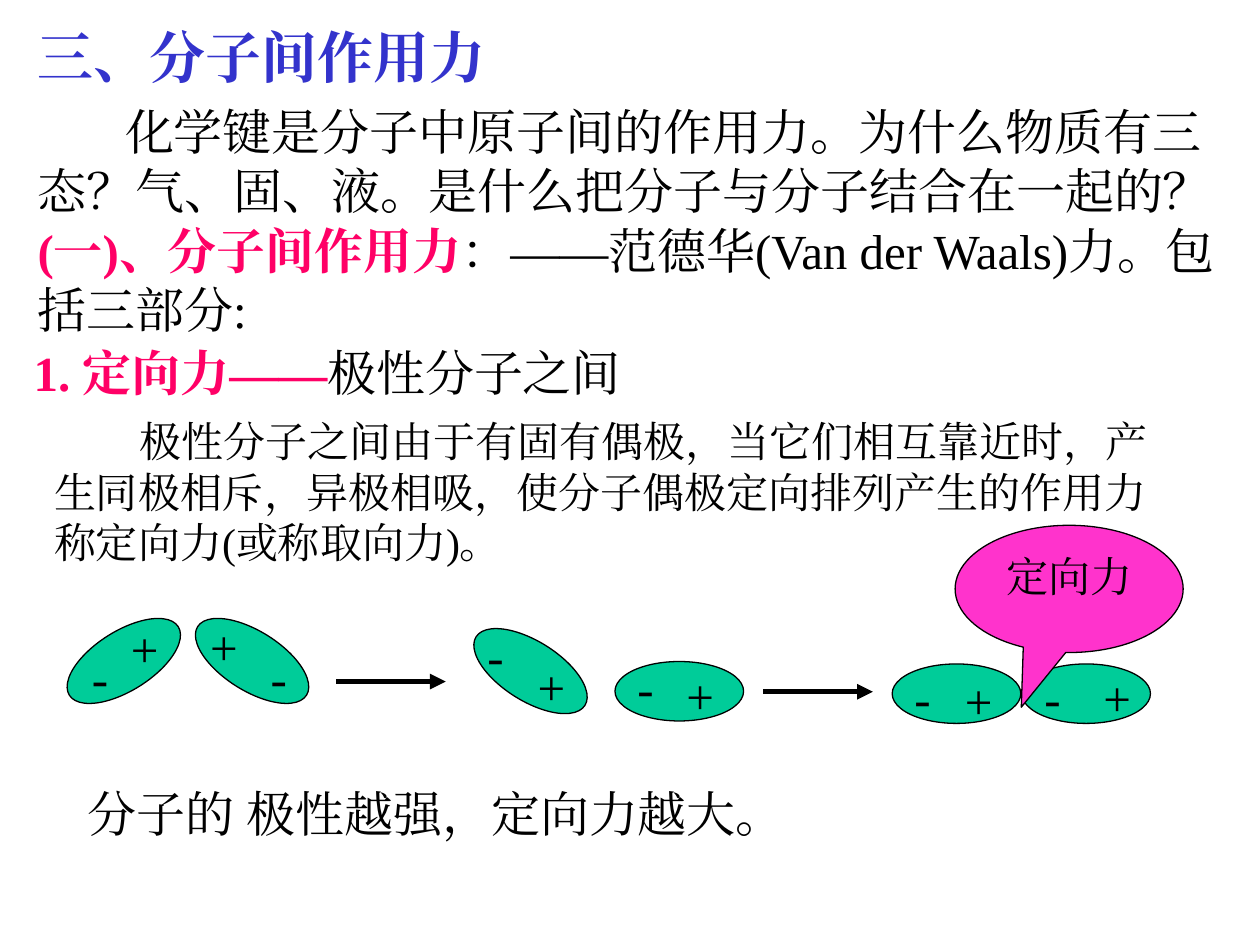
from dataclasses import dataclass

from pptx import Presentation
from pptx.dml.color import RGBColor
from pptx.enum.shapes import MSO_CONNECTOR as Connector, MSO_SHAPE as Shape
from pptx.enum.text import MSO_ANCHOR as Anchor, MSO_AUTO_SIZE as AutoSize, PP_ALIGN as Align
from pptx.oxml.ns import qn
from pptx.util import Pt

FONT = "Times New Roman"
COLORS = {
    "title": "3333CC",
    "heading": "FF0066",
    "ink": "000000",
    "molecule": "00CC99",
    "callout": "FF33CC",
}
MOLECULE_SIZE = (73.5, 34)
CHARGE_SIZE = (28, 41)


@dataclass(frozen=True)
class Span:
    text: str
    color: str = "ink"
    bold: bool = False


@dataclass(frozen=True)
class TextBlock:
    left: float
    top: float
    width: float
    height: float
    spans: tuple[Span, ...]
    size: float = 28
    indent: float = 0


@dataclass(frozen=True)
class Molecule:
    """An ellipse with the top-left corners of its two charge labels."""
    left: float
    top: float
    angle: float
    plus: tuple[float, float]
    minus: tuple[float, float]


@dataclass(frozen=True)
class Arrow:
    left: float
    y: float
    length: float = 62.5


TITLE = TextBlock(14.4, 9.4, 424, 45, (Span("三、分子间作用力", "title", True),), 32)
TEXT_BLOCKS = (
    TextBlock(14.4, 122.4, 692, 74, (
        Span("(一)、分子间作用力", "heading", True),
        Span("：——范德华(Van der Waals)力。包括三部分:"),
    )),
    TextBlock(14.4, 54.7, 692, 74, (
        Span("化学键是分子中原子间的作用力。为什么物质有三态？气、固、液。"
             "是什么把分子与分子结合在一起的？"),
    ), indent=50),
    TextBlock(43, 444.2, 551, 41, (Span("分子的 极性越强，定向力越大。"),)),
    TextBlock(23.8, 234, 654, 94, (
        Span("极性分子之间由于有固有偶极，当它们相互靠近时，产生同极相斥，"
             "异极相吸，使分子偶极定向排列产生的作用力称定向力(或称取向力)。"),
    ), 24, 49),
    TextBlock(12.2, 192.2, 388, 41, (
        Span("1. 定向力——", "heading", True),
        Span("极性分子之间"),
    )),
)
MOLECULES = (
    Molecule(34, 360.7, -32.2, (67.7, 350), (45.4, 366.5)),
    Molecule(107.3, 360.7, 32.2, (113, 348.5), (147.6, 366.5)),
    Molecule(266.4, 366.5, 32.2, (300.2, 371.5), (271.4, 354.2)),
    Molecule(351.4, 378, 0, (385.2, 376.6), (357.1, 372.2)),
    Molecule(509.8, 379.4, 0, (544.3, 379.4), (515.5, 378)),
    Molecule(583.9, 379.4, 0, (623.5, 378), (589.7, 378)),
)
ARROWS = (Arrow(192.2, 389.5), Arrow(436.3, 395.3))


def rgb(name: str) -> RGBColor:
    return RGBColor.from_string(COLORS[name])


def apply(target, **values) -> None:
    for name, value in values.items():
        setattr(target, name, value)


def write(box, block: TextBlock, align=Align.LEFT) -> None:
    """Fill the box's only paragraph with the block's spans."""
    apply(box.text_frame, word_wrap=True, auto_size=AutoSize.NONE,
          vertical_anchor=Anchor.TOP)
    para = box.text_frame.paragraphs[0]
    apply(para, alignment=align, space_before=Pt(0))
    if block.indent:
        para._p.get_or_add_pPr().set("indent", str(Pt(block.indent)))
    for part in block.spans:
        span = para.add_run()
        span.text = part.text
        apply(span.font, name=FONT, size=Pt(block.size), bold=part.bold)
        span.font.color.rgb = rgb(part.color)
        properties = span._r.get_or_add_rPr()
        properties.set("lang", "zh-CN")
        east_asian = properties.makeelement(qn("a:ea"), {"typeface": FONT})
        properties.find(qn("a:latin")).addnext(east_asian)


def add_text(page, block: TextBlock) -> None:
    box = page.shapes.add_textbox(
        Pt(block.left), Pt(block.top), Pt(block.width), Pt(block.height))
    write(box, block)


def add_outlined(page, kind, left: float, top: float, width: float,
                 height: float, color: str):
    shape = page.shapes.add_shape(kind, Pt(left), Pt(top), Pt(width), Pt(height))
    shape.shadow.inherit = False
    shape.fill.solid()
    shape.fill.fore_color.rgb = rgb(color)
    shape.line.color.rgb = rgb("ink")
    shape.line.width = Pt(0.75)
    return shape


def add_molecule(page, molecule: Molecule) -> None:
    ellipse = add_outlined(page, Shape.OVAL, molecule.left, molecule.top,
                           *MOLECULE_SIZE, "molecule")
    ellipse.rotation = molecule.angle


def add_charges(page, molecule: Molecule) -> None:
    for sign, place in (("+", molecule.plus), ("-", molecule.minus)):
        add_text(page, TextBlock(*place, *CHARGE_SIZE, (Span(sign),)))


def add_arrow(page, arrow: Arrow) -> None:
    line = page.shapes.add_connector(
        Connector.STRAIGHT, Pt(arrow.left), Pt(arrow.y),
        Pt(arrow.left + arrow.length), Pt(arrow.y))
    line.line.color.rgb = rgb("ink")
    line.line.width = Pt(3)
    outline = line.line._get_or_add_ln()
    outline.append(outline.makeelement(qn("a:tailEnd"), {"type": "triangle"}))
    properties = line._element.spPr
    properties.append(properties.makeelement(qn("a:effectLst"), {}))


def add_callout(page) -> None:
    block = TextBlock(545.8, 300.2, 130.3, 72.7, (Span("定向力"),), 24)
    callout = add_outlined(page, Shape.OVAL_CALLOUT, block.left, block.top,
                           block.width, block.height, "callout")
    callout.adjustments[0] = -0.21
    callout.adjustments[1] = 0.93
    write(callout, block, Align.CENTER)


def main() -> None:
    deck = Presentation()
    apply(deck, slide_width=Pt(720), slide_height=Pt(540))
    page = deck.slides.add_slide(deck.slide_layouts[5])
    title = page.shapes.title
    apply(title, left=Pt(TITLE.left), top=Pt(TITLE.top),
          width=Pt(TITLE.width), height=Pt(TITLE.height))
    write(title, TITLE)
    for block in TEXT_BLOCKS:
        add_text(page, block)
    for molecule in MOLECULES:
        add_molecule(page, molecule)
    for molecule in MOLECULES:
        add_charges(page, molecule)
    for arrow in ARROWS:
        add_arrow(page, arrow)
    add_callout(page)
    deck.save("out.pptx")


if __name__ == "__main__":
    main()
